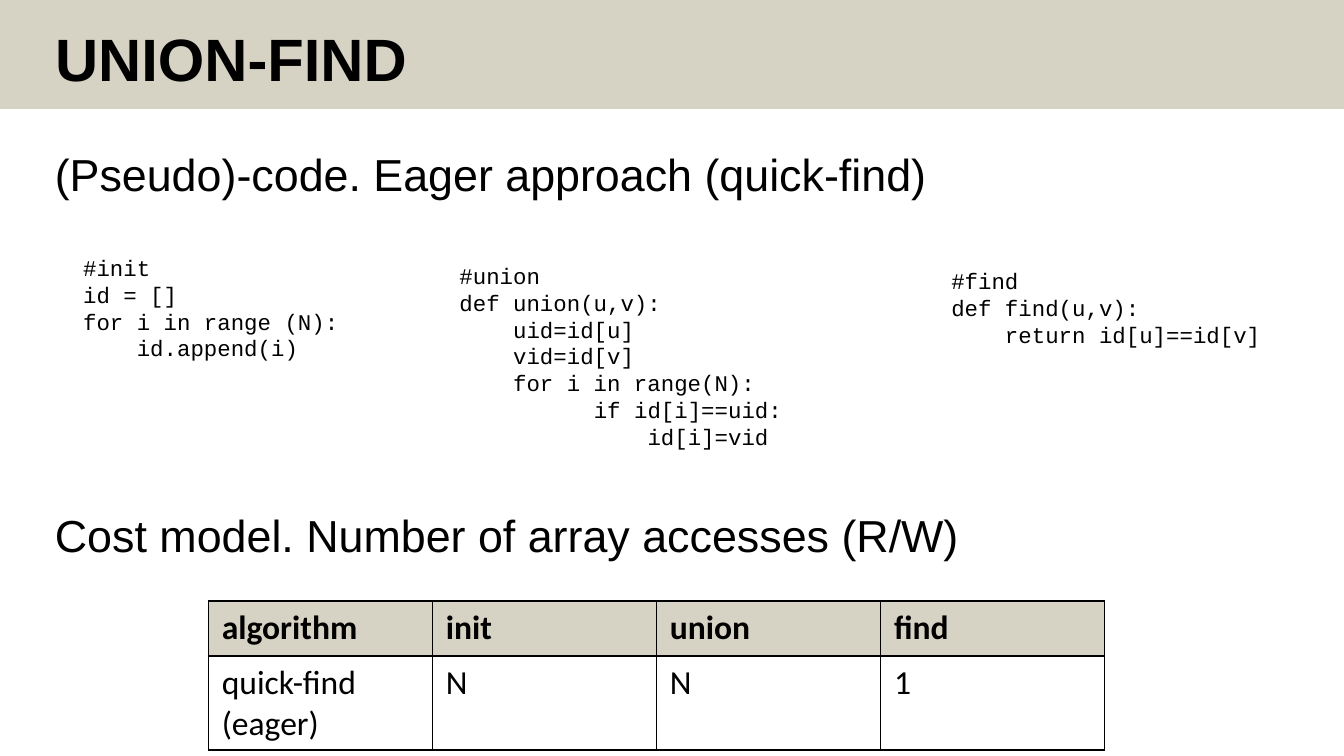
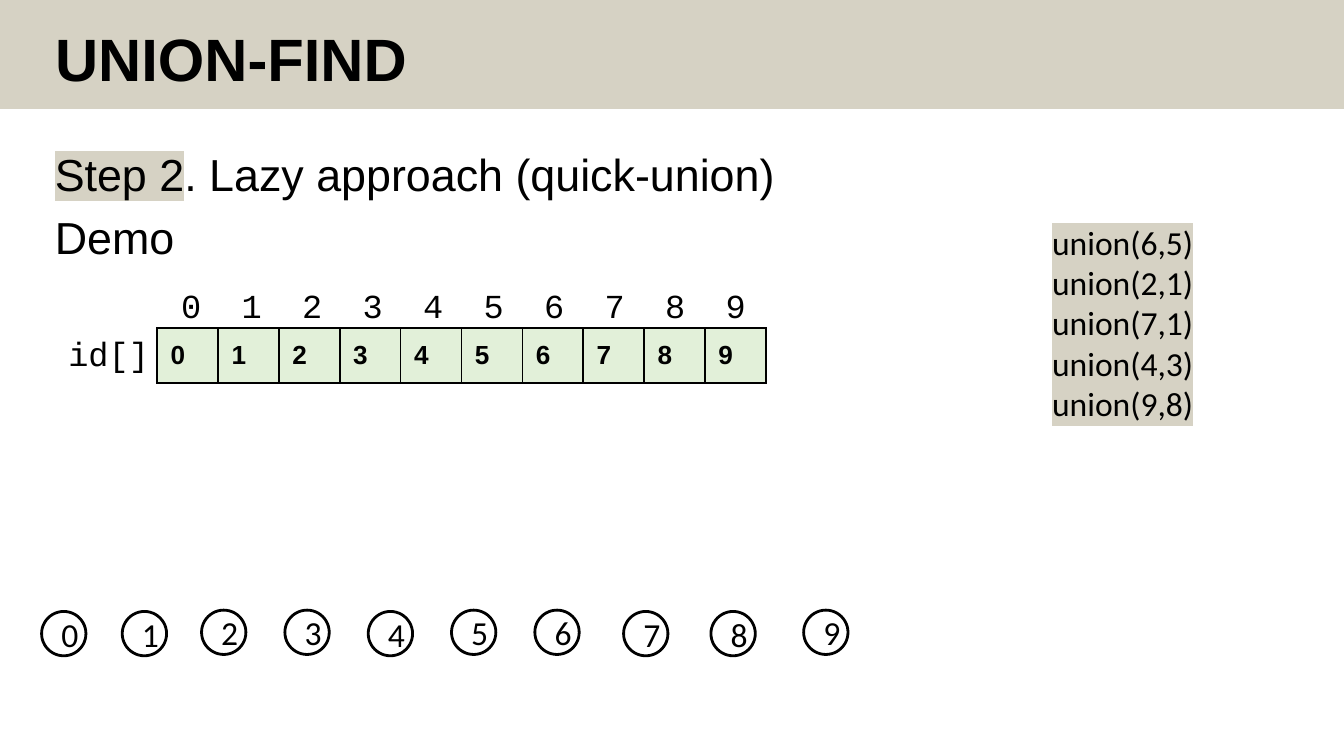
import pptx
import pptx.util
import pptx.dml.color
import pptx.enum.shapes
import pptx.enum.text
import pptx.oxml.ns
from lxml import etree

Inches, Pt = pptx.util.Inches, pptx.util.Pt
rgb = pptx.dml.color.RGBColor.from_string
qn = pptx.oxml.ns.qn
SHAPE = pptx.enum.shapes.MSO_SHAPE
ALIGN = pptx.enum.text.PP_ALIGN
ANCHOR = pptx.enum.text.MSO_ANCHOR
AUTO = pptx.enum.text.MSO_AUTO_SIZE

BLACK, WHITE, SAND, GREEN = "000000", "FFFFFF", "D6D2C4", "E2F0D9"
SANS, BODY, CODE = "Arial", "Calibri", "Courier New"


def write(tf, lines, size, font, bold=False, align=ALIGN.LEFT, marked=(), tight=False, stops=()):
    """Fill tf; a line is a string or a list of runs, and runs in marked get a sand highlight."""
    for i, line in enumerate(lines):
        p = tf.paragraphs[0] if i == 0 else tf.add_paragraph()
        if stops:
            tabs = etree.SubElement(p._p.get_or_add_pPr(), qn("a:tabLst"))
            for stop in stops:
                etree.SubElement(tabs, qn("a:tab"), pos=str(Inches(stop)), algn="l")
        p.alignment = align
        if tight:
            p.line_spacing = 0.9
            p.space_before = Pt(7.5 if i else 0)
        for text in [line] if isinstance(line, str) else line:
            r = p.add_run()
            r.text = text
            r.font.size, r.font.name, r.font.bold = Pt(size), font, bold
            r.font.color.rgb = rgb(BLACK)
            if text in marked:
                highlight = etree.Element(qn("a:highlight"))
                etree.SubElement(highlight, qn("a:srgbClr"), val=SAND)
                r._r.get_or_add_rPr().find(qn("a:solidFill")).addnext(highlight)


def add_box(s, at, lines, size, font, wrap=False, **style):
    tf = s.shapes.add_textbox(*map(Inches, at)).text_frame
    tf.word_wrap = wrap
    write(tf, lines, size, font, **style)


prs = pptx.Presentation()
prs.slide_width = Inches(10)
prs.slide_height = prs.slide_width * 9 // 16

# Shared band, title and body
bodies = [
    ["(Pseudo)-code. Eager approach (quick-find)"],
    [["Step 2", ". Lazy approach (quick-union)"], "Demo"],
]
for body in bodies:
    s = prs.slides.add_slide(prs.slide_layouts[5])
    title = s.shapes.title
    band = s.shapes.add_shape(SHAPE.RECTANGLE, 0, 0, prs.slide_width, Inches(0.81))
    band.shadow.inherit = False
    band.fill.solid()
    band.fill.fore_color.rgb = rgb(SAND)
    band.line.fill.background()
    title.element.addprevious(band.element)

    title.left, title.top, title.width, title.height = map(Inches, (0.31, 0.17, 8.62, 0.64))
    tf = title.text_frame
    tf.auto_size, tf.vertical_anchor = AUTO.NONE, ANCHOR.TOP
    write(tf, ["UNION-FIND"], 32, SANS, bold=True, tight=True)
    add_box(s, (0.31, 1.09, 9.14, 4.1), body, 24, SANS, wrap=True, marked=["Step 2"], tight=True)

quick_find, quick_union = prs.slides

# Slide 1: code and cost model
init_code = ["#init", "id = []", "for i in range (N):", "    id.append(i)"]
union_code = [
    "#union",
    "def union(u,v):",
    "    uid=id[u]",
    "    vid=id[v]",
    "    for i in range(N):",
    "\tif id[i]==uid:",
    "\t    id[i]=vid",
]
find_code = ["#find", "def find(u,v):", "    return id[u]==id[v]"]
add_box(quick_find, (0.52, 1.84, 2.13, 0.91), init_code, 12, CODE)
add_box(quick_find, (3.32, 1.9, 3.67, 1.51), union_code, 12, CODE, wrap=True, stops=[1])
add_box(quick_find, (6.98, 1.94, 2.54, 0.71), find_code, 12, CODE)
add_box(quick_find, (0.31, 3.73, 6.99, 0.5), ["Cost model. Number of array accesses (R/W)"], 24, SANS)

# Slide 2: nodes, array labels and union calls
digits = [str(i) for i in range(10)]
node_places = [
    (0.31, 4.55), (0.91, 4.55), (1.5, 4.54), (2.12, 4.54), (2.74, 4.55),
    (3.36, 4.54), (3.98, 4.54), (4.64, 4.55), (5.29, 4.55), (5.98, 4.54),
]
for digit, (left, top) in zip(digits, node_places):
    node = quick_union.shapes.add_shape(
        SHAPE.OVAL, Inches(left), Inches(top), Inches(0.33), Inches(0.33))
    node.shadow.inherit = False
    node.fill.background()
    node.line.color.rgb = rgb(BLACK)
    node.line.width = Pt(1.5)
    node.text_frame.vertical_anchor = ANCHOR.MIDDLE
    write(node.text_frame, [digit], 18, BODY, align=ALIGN.CENTER)

add_box(quick_union, (0.41, 2.43, 0.81, 0.4), ["id[]"], 18, CODE)
add_box(quick_union, (1.25, 2.07, 4.72, 0.4), ["\t".join(digits)], 18, CODE, wrap=True,
        stops=[0.45 * i for i in range(1, 10)])
calls = ["union(6,5)", "union(2,1)", "union(7,1)", "union(4,3)", "union(9,8)"]
add_box(quick_union, (7.73, 1.6, 1.29, 1.62), calls, 18, BODY, marked=calls)

# Tables: slide, place, rows, row fills, size, font, anchor
costs = [["algorithm", "init", "union", "find"], ["quick-find (eager)", "N", "N", "1"]]
tables = [
    (quick_find, (1.55, 4.47, 6.67), costs, [SAND, WHITE], 18, BODY, ANCHOR.TOP),
    (quick_union, (1.17, 2.44, 4.53), [digits], [GREEN], 14, SANS, ANCHOR.MIDDLE),
]
for s, (left, top, width), rows, fills, size, font, anchor in tables:
    table = s.shapes.add_table(
        len(rows), len(rows[0]), Inches(left), Inches(top),
        Inches(width), Inches(0.41 * len(rows))).table
    table.first_row = table.horz_banding = False
    for i, row in enumerate(rows):
        for j, text in enumerate(row):
            cell = table.cell(i, j)
            for side in ("a:lnL", "a:lnR", "a:lnT", "a:lnB"):
                ln = etree.SubElement(cell._tc.get_or_add_tcPr(), qn(side), w=str(Pt(1)))
                etree.SubElement(etree.SubElement(ln, qn("a:solidFill")), qn("a:srgbClr"), val=BLACK)
            cell.fill.solid()
            cell.fill.fore_color.rgb = rgb(fills[i])
            cell.vertical_anchor = anchor
            write(cell.text_frame, [text], size, font, bold=i == 0)

prs.save("out.pptx")
